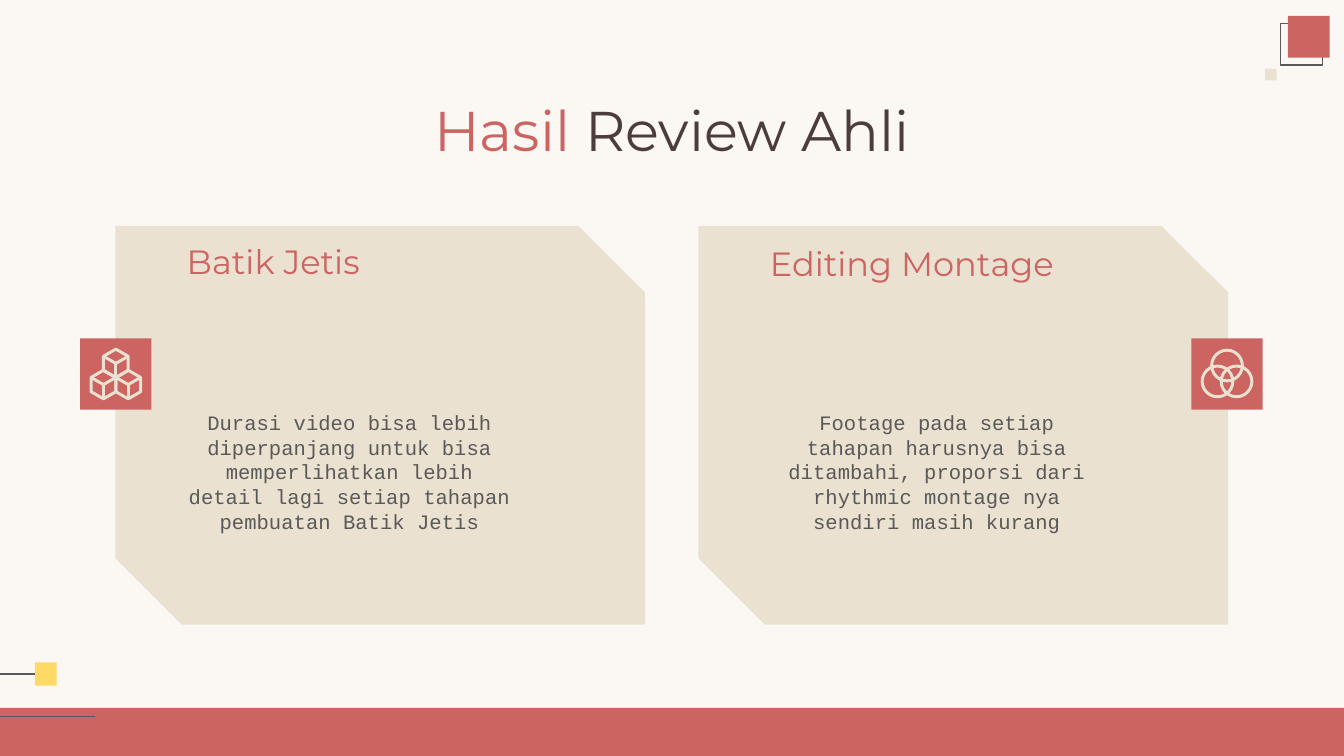
from dataclasses import dataclass
from math import cos, radians, sin

from lxml.etree import SubElement
from pptx import Presentation
from pptx.dml.color import RGBColor
from pptx.enum.shapes import MSO_CONNECTOR, MSO_SHAPE
from pptx.enum.text import MSO_ANCHOR, MSO_AUTO_SIZE, PP_ALIGN
from pptx.oxml.ns import qn
from pptx.util import Cm, Pt


@dataclass(frozen=True)
class Theme:
    background: str = "FBF8F4"
    red: str = "CC6462"
    sand: str = "EBE1D0"
    yellow: str = "FFD966"
    brown: str = "4D3C3C"
    grey: str = "595959"
    heading_font: str = "Montserrat"
    body_font: str = "Courier New"
    title_size: int = 30
    heading_size: int = 18
    body_size: int = 11
    thin_line: float = 0.75
    icon_line: float = 1.6


THEME = Theme()
CARD_TOP, CARD_WIDTH, CARD_HEIGHT = 4.27, 10.01, 7.54
TILE_SIZE, TILE_CENTER_Y = 1.35, 7.07


def color(code):
    return RGBColor.from_string(code)


def paint(shape, fill=None, line=None, width=THEME.thin_line):
    shape.shadow.inherit = False
    if fill:
        shape.fill.solid()
        shape.fill.fore_color.rgb = color(fill)
    else:
        shape.fill.background()
    if line:
        shape.line.color.rgb = color(line)
        shape.line.width = Pt(width)
    else:
        shape.line.fill.background()


def add_block(slide, left, top, width, height, fill=None, line=None,
              outline=MSO_SHAPE.RECTANGLE):
    block = slide.shapes.add_shape(outline, Cm(left), Cm(top), Cm(width), Cm(height))
    paint(block, fill, line)
    return block


def add_rule(slide, end_x, y):
    """Draw a thin horizontal line from the left edge of the slide."""
    rule = slide.shapes.add_connector(MSO_CONNECTOR.STRAIGHT, 0, Cm(y), Cm(end_x), Cm(y))
    rule.line.color.rgb = color(THEME.grey)
    rule.line.width = Pt(THEME.thin_line)
    SubElement(rule._element.spPr, qn("a:effectLst"))
    return rule


def add_text(slide, left, top, width, height, pieces, font, size,
             align=PP_ALIGN.LEFT, anchor=MSO_ANCHOR.TOP, grow=False):
    """Add one paragraph made of (text, colour) pieces."""
    box = slide.shapes.add_textbox(Cm(left), Cm(top), Cm(width), Cm(height))
    frame = box.text_frame
    frame.word_wrap = True
    frame.vertical_anchor = anchor
    frame.auto_size = MSO_AUTO_SIZE.SHAPE_TO_FIT_TEXT if grow else MSO_AUTO_SIZE.NONE
    frame.margin_left = frame.margin_right = Cm(0.25)
    frame.margin_top = frame.margin_bottom = Cm(0.25)
    paragraph = frame.paragraphs[0]
    paragraph.alignment = align
    for text, code in pieces:
        run = paragraph.add_run()
        run.text = text
        run.font.name = font
        run.font.size = Pt(size)
        run.font.color.rgb = color(code)


def add_cubes_icon(slide, center_x, center_y):
    """Draw three stacked cubes, each a hexagon with a Y inside."""
    edge = 0.27

    def corner(x, y, angle):
        return (Cm(x + edge * cos(radians(angle))), Cm(y + edge * sin(radians(angle))))

    side = edge * cos(radians(30))
    centers = [(center_x, center_y - 0.2),
               (center_x - side, center_y + 0.2),
               (center_x + side, center_y + 0.2)]
    builder = slide.shapes.build_freeform(*corner(*centers[0], 30))
    for x, y in centers:
        builder.move_to(*corner(x, y, 30))
        builder.add_line_segments([corner(x, y, a) for a in range(90, 390, 60)], close=True)
        for angle in (90, 210, 330):
            builder.move_to(Cm(x), Cm(y))
            builder.add_line_segments([corner(x, y, angle)], close=False)
    paint(builder.convert_to_shape(), line=THEME.sand, width=THEME.icon_line)


def add_rings_icon(slide, center_x, center_y):
    radius = 0.29
    for dx, dy in ((0, -0.16), (-0.18, 0.14), (0.18, 0.14)):
        ring = add_block(slide, center_x + dx - radius, center_y + dy - radius,
                         2 * radius, 2 * radius, outline=MSO_SHAPE.OVAL)
        paint(ring, line=THEME.sand, width=THEME.icon_line)


def add_card(slide, left, tile_center_x, draw_icon, heading, heading_at, body, body_left):
    add_block(slide, left, CARD_TOP, CARD_WIDTH, CARD_HEIGHT, THEME.sand,
              outline=MSO_SHAPE.SNIP_2_DIAG_RECTANGLE)
    add_block(slide, tile_center_x - TILE_SIZE / 2, TILE_CENTER_Y - TILE_SIZE / 2,
              TILE_SIZE, TILE_SIZE, THEME.red)
    draw_icon(slide, tile_center_x, TILE_CENTER_Y)
    add_text(slide, *heading_at, 9.07, 0.99, [(heading, THEME.red)],
             THEME.heading_font, THEME.heading_size, anchor=MSO_ANCHOR.BOTTOM)
    add_text(slide, body_left, 7.5, 6.65, 2.62, [(body, THEME.grey)],
             THEME.body_font, THEME.body_size, PP_ALIGN.CENTER, grow=True)


def add_decoration(slide):
    add_block(slide, 0, 13.38, 25.4, 0.91, THEME.red)
    add_block(slide, 24.2, 0.44, 0.79, 0.79, line=THEME.grey)
    add_block(slide, 24.34, 0.3, 0.79, 0.79, THEME.red)
    add_block(slide, 23.91, 1.3, 0.22, 0.22, THEME.sand)
    yellow_square = add_block(slide, 0.66, 12.52, 0.41, 0.44, THEME.yellow)
    add_rule(slide, 0.66, 12.74).end_connect(yellow_square, 1)
    add_rule(slide, 1.8, 13.54)


def main():
    deck = Presentation()
    deck.slide_width, deck.slide_height = Cm(25.4), Cm(14.29)
    slide = deck.slides.add_slide(deck.slide_layouts[6])
    slide.background.fill.solid()
    slide.background.fill.fore_color.rgb = color(THEME.background)

    add_decoration(slide)
    add_text(slide, 1.78, 1.65, 21.84, 1.6,
             [("Hasil ", THEME.red), ("Review Ahli", THEME.brown)],
             THEME.heading_font, THEME.title_size, PP_ALIGN.CENTER, MSO_ANCHOR.MIDDLE)
    add_card(slide, 2.18, 2.19, add_cubes_icon, "Batik Jetis", (3.28, 4.57),
             "Durasi video bisa lebih diperpanjang untuk bisa memperlihatkan lebih "
             "detail lagi setiap tahapan pembuatan Batik Jetis", 3.28)
    add_card(slide, 13.2, 23.19, add_rings_icon, "Editing Montage", (14.3, 4.62),
             "Footage pada setiap tahapan harusnya bisa ditambahi, proporsi dari "
             "rhythmic montage nya sendiri masih kurang", 14.38)
    deck.save("out.pptx")


if __name__ == "__main__":
    main()
